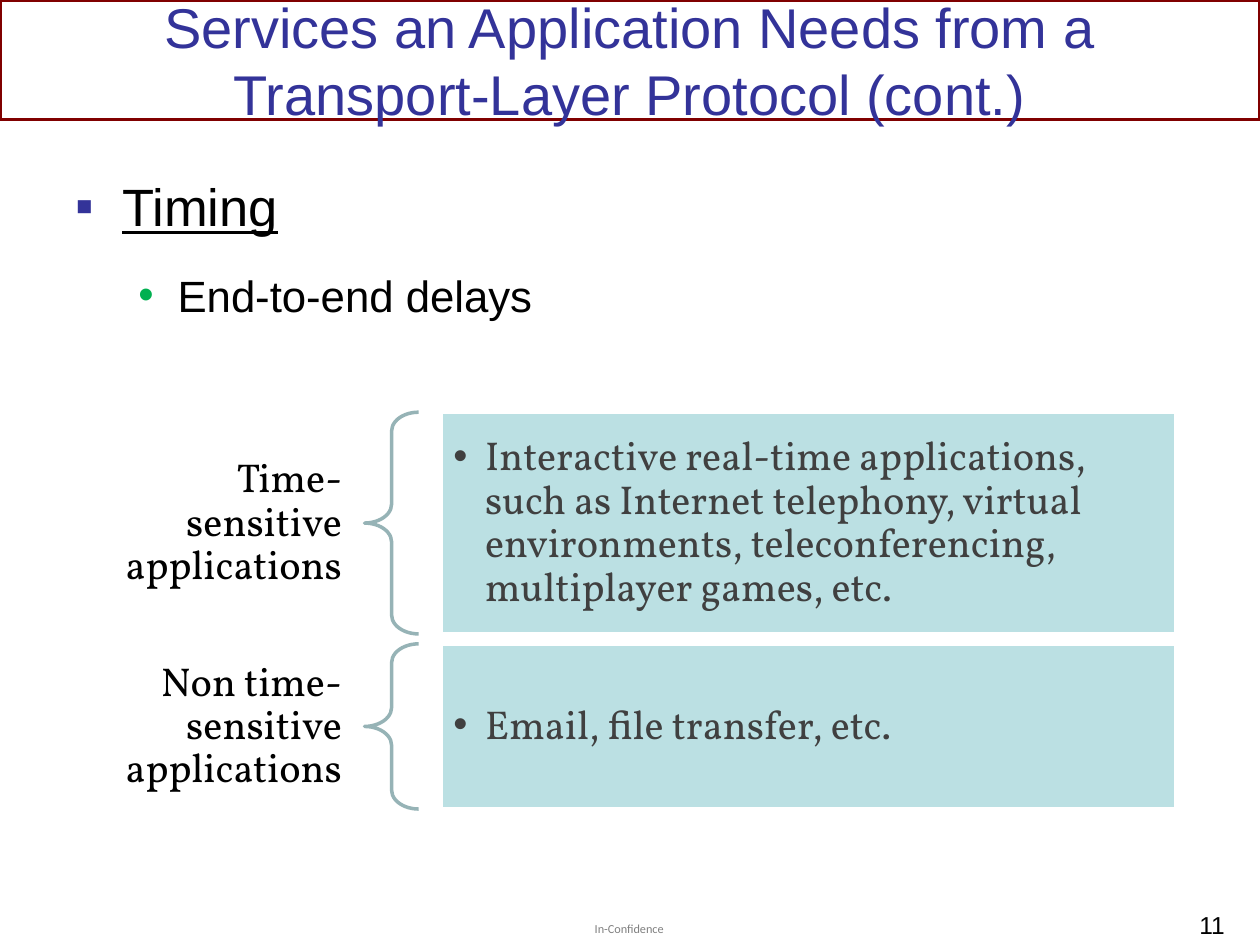
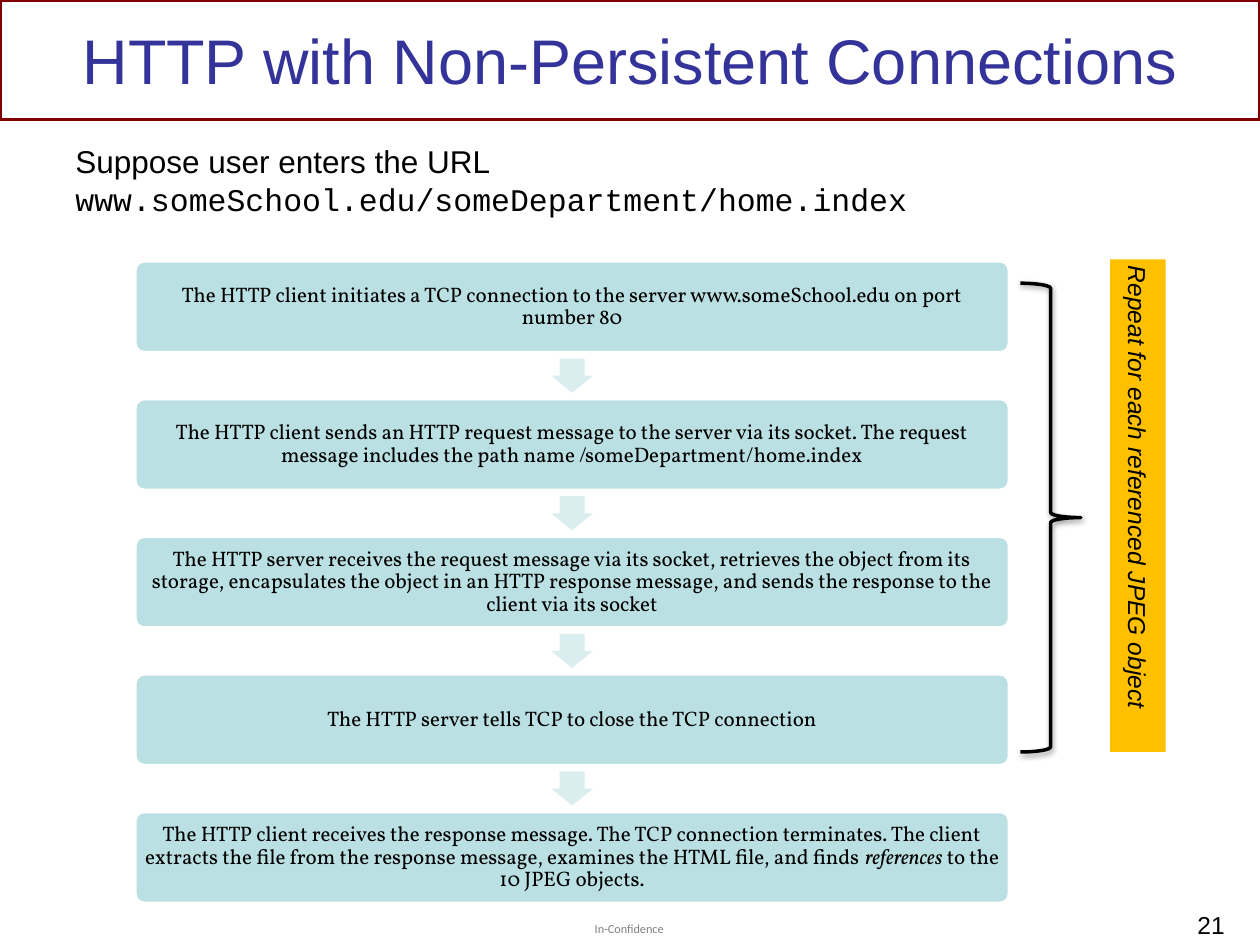
from dataclasses import dataclass
from lxml.etree import SubElement
from pptx import Presentation
from pptx.dml.color import RGBColor
from pptx.enum.shapes import MSO_SHAPE
from pptx.enum.text import MSO_ANCHOR, MSO_AUTO_SIZE, PP_ALIGN
from pptx.oxml.ns import qn
from pptx.util import Cm, Pt


@dataclass(frozen=True)
class Theme:
    sans: str = "Arial"
    serif: str = "Vollkorn"
    mono: str = "Courier New"
    footer_font: str = "Calibri"
    black: str = "000000"
    white: str = "FFFFFF"
    title: str = "333399"
    band: str = "800000"
    sub_bullet: str = "00B050"
    panel: str = "BBE0E3"
    panel_text: str = "404040"
    brace: str = "96B3B6"
    arrow: str = "DAEDEF"
    note: str = "FFC000"
    footer: str = "808080"
    title_long_size: int = 32
    title_size: int = 36
    topic_size: int = 30
    subtopic_size: int = 25
    group_size: int = 23
    intro_size: int = 18
    number_size: int = 14
    step_size: int = 12
    footer_size: int = 7
    line: int = 2


@dataclass(frozen=True)
class Box:
    left: float
    top: float
    width: float
    height: float

    def within(self, left, top, width, height):
        return Box(self.left + left, self.top + top, width, height)

    def lengths(self):
        return [Cm(side) for side in (self.left, self.top, self.width, self.height)]


@dataclass(frozen=True)
class Bullet:
    symbol: str
    color: str
    margin: float
    hanging: float


THEME = Theme()
PAGE = Box(0, 0, 25.4, 19.05)
CONTENT_LEFT, CONTENT_WIDTH = 1.27, 22.86


def add_outline(slide, kind, box, fill=None, line=None, adjustments=()):
    outline = slide.shapes.add_shape(kind, *box.lengths())
    outline.shadow.inherit = False
    if fill:
        outline.fill.solid()
        outline.fill.fore_color.rgb = RGBColor.from_string(fill)
    else:
        outline.fill.background()
    if line:
        outline.line.color.rgb = RGBColor.from_string(line)
        outline.line.width = Pt(THEME.line)
    else:
        outline.line.fill.background()
    for index, value in enumerate(adjustments):
        outline.adjustments[index] = value
    return outline


def set_frame(holder, anchor=MSO_ANCHOR.TOP, insets=(0.25, 0.13), wrap=True):
    frame = holder.text_frame
    frame.word_wrap = wrap
    frame.vertical_anchor = anchor
    frame.margin_left = frame.margin_right = Cm(insets[0])
    frame.margin_top = frame.margin_bottom = Cm(insets[1])
    return frame


def add_frame(slide, box, **options):
    return set_frame(slide.shapes.add_textbox(*box.lengths()), **options)


def add_run(paragraph, words, size, font=THEME.sans, color=THEME.black, italic=None, underline=None):
    run = paragraph.add_run()
    run.text = words
    run.font.size = Pt(size)
    run.font.name = font
    run.font.color.rgb = RGBColor.from_string(color)
    run.font.italic = italic
    run.font.underline = underline


def add_bullet(paragraph, bullet):
    properties = paragraph._p.get_or_add_pPr()
    properties.set("marL", str(Cm(bullet.margin)))
    properties.set("indent", str(-Cm(bullet.hanging)))
    color = SubElement(properties, qn("a:buClr"))
    SubElement(color, qn("a:srgbClr"), val=bullet.color)
    SubElement(properties, qn("a:buFont"), typeface=THEME.sans)
    SubElement(properties, qn("a:buChar"), char=bullet.symbol)


def add_page(deck, title, title_size, number):
    slide = deck.slides.add_slide(deck.slide_layouts[6])
    add_outline(slide, MSO_SHAPE.RECTANGLE, PAGE.within(0, 0, PAGE.width, 2.41), line=THEME.band)

    footer = add_frame(slide, PAGE.within(11.99, 18.57, 1.45, 0.3), insets=(0, 0), wrap=False)
    add_run(footer.paragraphs[0], "In-Confidence", THEME.footer_size, THEME.footer_font, THEME.footer)

    heading = add_frame(slide, PAGE.within(CONTENT_LEFT, 0.2, CONTENT_WIDTH, 2.01), anchor=MSO_ANCHOR.MIDDLE)
    heading.paragraphs[0].alignment = PP_ALIGN.CENTER
    add_run(heading.paragraphs[0], title, title_size, color=THEME.title)

    page_number = add_frame(slide, PAGE.within(19.35, 18.21, 5.59, 0.76))
    page_number.paragraphs[0].alignment = PP_ALIGN.RIGHT
    add_run(page_number.paragraphs[0], str(number), THEME.number_size)
    return slide


def add_topic(slide, box, topic, subtopic):
    frame = add_frame(slide, box)
    heading = frame.paragraphs[0]
    heading.space_after = Pt(6)
    add_bullet(heading, Bullet("▪", THEME.title, 0.95, 0.95))
    add_run(heading, topic, THEME.topic_size, underline=True)

    detail = frame.add_paragraph()
    detail.level = 1
    detail.space_before = Pt(12)
    detail.space_after = Pt(6)
    add_bullet(detail, Bullet("•", THEME.sub_bullet, 2.06, 0.79))
    add_run(detail, subtopic, THEME.subtopic_size)


def add_application_group(slide, box, group, examples):
    label = add_frame(slide, box.within(0, 0, 5.44, box.height), anchor=MSO_ANCHOR.MIDDLE, insets=(0.45, 0.16))
    label.paragraphs[0].alignment = PP_ALIGN.RIGHT
    label.paragraphs[0].line_spacing = 0.9
    add_run(label.paragraphs[0], group, THEME.group_size, THEME.serif)

    add_outline(slide, MSO_SHAPE.LEFT_BRACE, box.within(5.44, 0, 1.09, box.height),
                line=THEME.brace, adjustments=(0.35, 0.5))

    panel = add_outline(slide, MSO_SHAPE.RECTANGLE, box.within(6.98, 0, box.width - 6.98, box.height),
                        THEME.panel, THEME.white)
    example = set_frame(panel, MSO_ANCHOR.MIDDLE, (0.25, 0.25)).paragraphs[0]
    example.alignment = PP_ALIGN.LEFT
    example.line_spacing = 0.9
    add_bullet(example, Bullet("•", THEME.panel_text, 0.64, 0.64))
    add_run(example, examples, THEME.group_size, THEME.serif, THEME.panel_text)


def add_application_groups(slide, box, groups, gap=0.2):
    top = 0
    for height, group, examples in groups:
        add_application_group(slide, box.within(0, top, box.width, height), group, examples)
        top += height + gap


def add_steps(slide, box, steps, step_height=1.85):
    pitch = (box.height - step_height) / (len(steps) - 1)
    arrow_width, arrow_height = 0.84, 0.69
    for index, step in enumerate(steps):
        top = index * pitch
        panel = add_outline(slide, MSO_SHAPE.ROUNDED_RECTANGLE, box.within(0, top, box.width, step_height),
                            THEME.panel, THEME.white, (0.1,))
        paragraph = set_frame(panel, MSO_ANCHOR.MIDDLE, (0.12, 0.12)).paragraphs[0]
        paragraph.alignment = PP_ALIGN.CENTER
        paragraph.line_spacing = 0.9
        for words, italic in step:
            add_run(paragraph, words, THEME.step_size, THEME.serif, italic=italic)
        if index < len(steps) - 1:
            arrow_top = top + (step_height + pitch - arrow_height) / 2
            add_outline(slide, MSO_SHAPE.DOWN_ARROW,
                        box.within((box.width - arrow_width) / 2, arrow_top, arrow_width, arrow_height),
                        THEME.arrow, adjustments=(0.6, 0.5))


def add_repeat_note(slide, box, words):
    note_width, brace_top = 1.12, 0.48
    note = add_outline(slide, MSO_SHAPE.RECTANGLE,
                       box.within(box.width - note_width, 0, note_width, box.height), THEME.note)
    frame = set_frame(note, MSO_ANCHOR.MIDDLE)
    frame.auto_size = MSO_AUTO_SIZE.SHAPE_TO_FIT_TEXT
    frame._txBody.bodyPr.set("vert", "eaVert")
    frame.paragraphs[0].alignment = PP_ALIGN.CENTER
    add_run(frame.paragraphs[0], words, THEME.number_size, italic=True)

    brace = add_outline(slide, MSO_SHAPE.RIGHT_BRACE,
                        box.within(0, brace_top, 1.22, box.height - brace_top), line=THEME.black)
    effects = brace._element.spPr.find(qn("a:effectLst"))
    shadow = SubElement(effects, qn("a:outerShdw"), blurRad=str(Pt(3.1)), dist=str(Pt(1.6)),
                        dir="5400000", rotWithShape="0")
    shade = SubElement(shadow, qn("a:srgbClr"), val=THEME.black)
    SubElement(shade, qn("a:alpha"), val="38000")


def build_timing(deck):
    slide = add_page(deck, "Services an Application Needs from a Transport-Layer Protocol (cont.)",
                     THEME.title_long_size, 11)
    add_topic(slide, PAGE.within(CONTENT_LEFT, 3.38, CONTENT_WIDTH, 3.38), "Timing", "End-to-end delays")
    add_application_groups(slide, PAGE.within(1.91, 8.31, 21.79, 8), [
        (4.47, "Time-sensitive applications",
         "Interactive real-time applications, such as Internet telephony, virtual environments, "
         "teleconferencing, multiplayer games, etc."),
        (3.33, "Non time-sensitive applications", "Email, file transfer, etc."),
    ])


def build_connections(deck):
    slide = add_page(deck, "HTTP with Non-Persistent Connections", THEME.title_size, 21)
    intro = add_frame(slide, PAGE.within(CONTENT_LEFT, 2.74, CONTENT_WIDTH, 2.01)).paragraphs[0]
    add_run(intro, "Suppose user enters the URL ", THEME.intro_size)
    add_run(intro, "www.someSchool.edu/someDepartment/home.index", THEME.intro_size, THEME.mono)
    add_steps(slide, PAGE.within(2.72, 5.26, 17.63, 12.95), [
        [("The HTTP client initiates a TCP connection to the server www.someSchool.edu "
          "on port number 80", None)],
        [("The HTTP client sends an HTTP request message to the server via its socket. "
          "The request message includes the path name /someDepartment/home.index", None)],
        [("The HTTP server receives the request message via its socket, retrieves the object "
          "from its storage, encapsulates the object in an HTTP response message, "
          "and sends the response to the client via its socket", None)],
        [("The HTTP server tells TCP to close the TCP connection", None)],
        [("The HTTP client receives the response message. The TCP connection terminates. "
          "The client extracts the file from the response message, examines the HTML file, "
          "and finds ", None),
         ("references", True),
         (" to the 10 JPEG objects.", None)],
    ])
    add_repeat_note(slide, PAGE.within(20.57, 5.23, 2.93, 9.93), "Repeat for each referenced JPEG object")


def main():
    deck = Presentation()
    deck.slide_width, deck.slide_height = Cm(PAGE.width), Cm(PAGE.height)
    build_timing(deck)
    build_connections(deck)
    deck.save("out.pptx")


if __name__ == "__main__":
    main()
